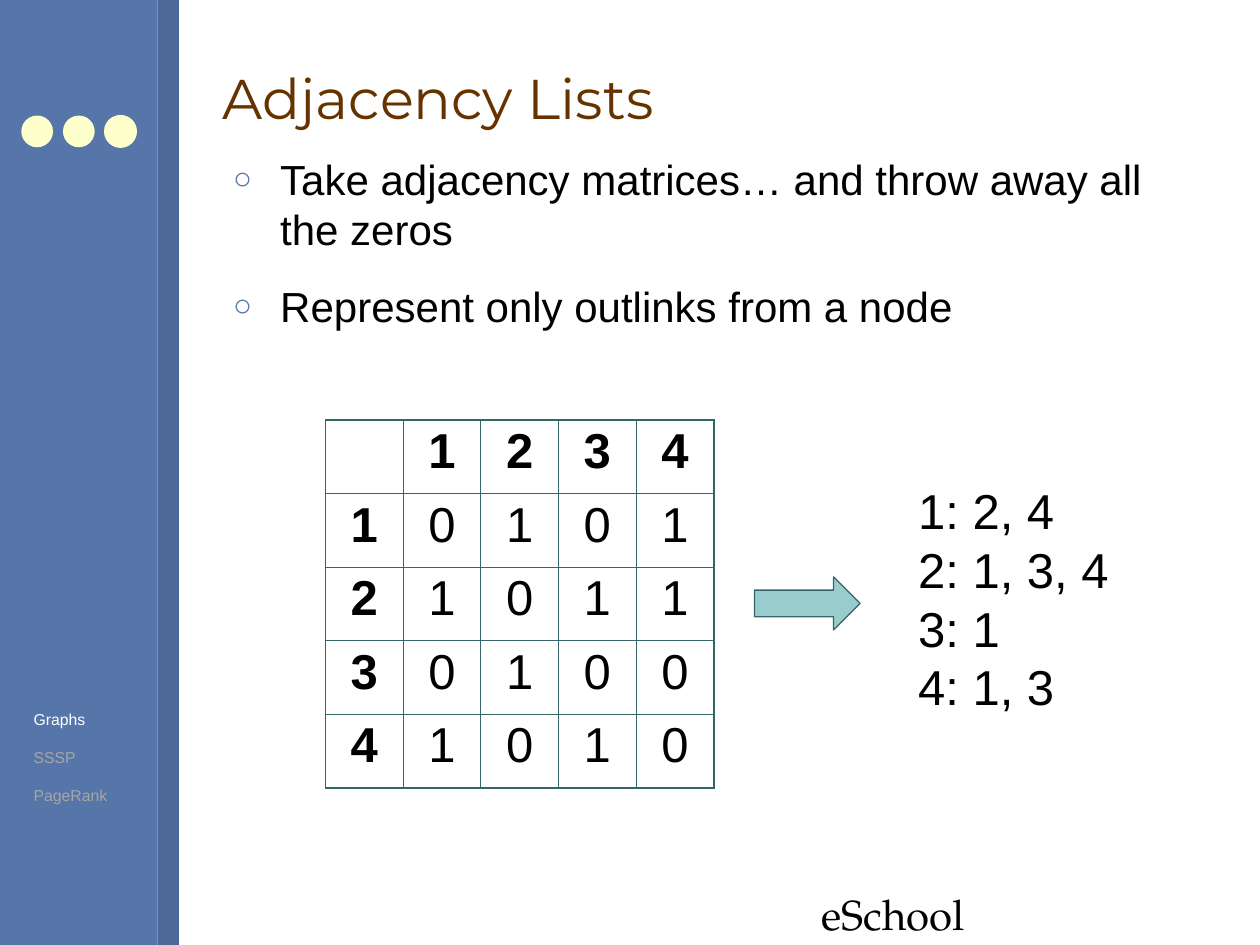
from typing import NamedTuple

import pptx
import pptx.dml.color
import pptx.enum.shapes
import pptx.enum.text
import pptx.oxml
import pptx.oxml.ns
import pptx.util

Cm = pptx.util.Cm
Pt = pptx.util.Pt
RGBColor = pptx.dml.color.RGBColor
Shape = pptx.enum.shapes.MSO_SHAPE
Anchor = pptx.enum.text.MSO_ANCHOR
Align = pptx.enum.text.PP_ALIGN

BLUE = RGBColor(0x56, 0x75, 0xA9)
DARK_BLUE = RGBColor(0x4D, 0x69, 0x97)
CREAM = RGBColor(0xFF, 0xFF, 0xCC)
BROWN = RGBColor(0x66, 0x33, 0x00)
TEAL = RGBColor(0x33, 0x66, 0x66)
LIGHT_TEAL = RGBColor(0x99, 0xCC, 0xCC)
GREY = RGBColor(0xA6, 0xA6, 0xA6)
BLACK = RGBColor(0, 0, 0)
WHITE = RGBColor(0xFF, 0xFF, 0xFF)

OUTER_BORDER, INNER_BORDER = 1.08, 0.45


class Box(NamedTuple):
    """Left, top, width and height in centimetres."""
    left: float
    top: float
    width: float
    height: float

    def lengths(self) -> list[Cm]:
        return [Cm(value) for value in self]


class Panel(NamedTuple):
    kind: Shape
    box: Box
    fill: RGBColor
    line: RGBColor | None = None


def draw_panel(slide, panel: Panel) -> None:
    shape = slide.shapes.add_shape(panel.kind, *panel.box.lengths())
    shape.shadow.inherit = False
    shape.fill.solid()
    shape.fill.fore_color.rgb = panel.fill
    if panel.line is None:
        shape.line.fill.background()
    else:
        shape.line.color.rgb = panel.line
        shape.line.width = Pt(0.75)


def write(frame, lines: list[str], *, size: float, font: str = "Arial",
          colors: tuple[RGBColor, ...] = (BLACK,), bold: bool = False,
          align: Align = Align.LEFT, before: float = 0, after: float = 0,
          spacing: float | None = None, bullet: str | None = None) -> None:
    """Fill a text frame; the last colour serves all remaining lines."""
    for index, line in enumerate(lines):
        paragraph = frame.add_paragraph() if index else frame.paragraphs[0]
        paragraph.alignment = align
        paragraph.space_before = Pt(before)
        paragraph.space_after = Pt(after)
        if spacing:
            paragraph.line_spacing = spacing
        if bullet:
            add_bullet(paragraph, bullet)
        run = paragraph.add_run()
        run.text = line
        run.font.size = Pt(size)
        run.font.name = font
        run.font.bold = bold
        run.font.color.rgb = colors[min(index, len(colors) - 1)]


def add_bullet(paragraph, character: str) -> None:
    properties = paragraph._p.get_or_add_pPr()
    indent = Cm(0.95)
    properties.set("marL", str(indent))
    properties.set("indent", str(-indent))
    namespace = pptx.oxml.ns.nsdecls("a")
    for xml in (
        f'<a:buClr {namespace}><a:srgbClr val="{BLUE}"/></a:buClr>',
        f'<a:buSzPct {namespace} val="75000"/>',
        f'<a:buFont {namespace} typeface="Arial"/>',
        f'<a:buChar {namespace} char="{character}"/>',
    ):
        properties.append(pptx.oxml.parse_xml(xml))


def add_text(slide, box: Box, lines: list[str], *, anchor: Anchor = Anchor.TOP,
             **text_format) -> None:
    frame = slide.shapes.add_textbox(*box.lengths()).text_frame
    frame.word_wrap = True
    frame.vertical_anchor = anchor
    write(frame, lines, **text_format)


def set_border(cell, side: str, width: float) -> None:
    cell._tc.get_or_add_tcPr().append(pptx.oxml.parse_xml(
        f'<a:{side} {pptx.oxml.ns.nsdecls("a")} w="{Pt(width)}">'
        f'<a:solidFill><a:srgbClr val="{TEAL}"/></a:solidFill></a:{side}>'))


def draw_matrix(slide, box: Box, matrix: list[str]) -> None:
    """Draw an adjacency matrix with bold node numbers on its top and left."""
    nodes = "".join(str(node) for node in range(1, len(matrix) + 1))
    rows = [" " + nodes] + [node + values for node, values in zip(nodes, matrix)]
    last = len(rows) - 1
    table = slide.shapes.add_table(len(rows), len(rows), *box.lengths()).table
    table.first_row = table.horz_banding = False
    for index in range(len(rows)):
        table.columns[index].width = Cm(box.width / len(rows))
        table.rows[index].height = Cm(box.height / len(rows))
    for r, values in enumerate(rows):
        for c, value in enumerate(values):
            cell = table.cell(r, c)
            cell.vertical_anchor = Anchor.MIDDLE
            edges = {"lnL": c == 0, "lnR": c == last, "lnT": r == 0, "lnB": r == last}
            for side, outer in edges.items():
                set_border(cell, side, OUTER_BORDER if outer else INNER_BORDER)
            cell.fill.background()
            if value.strip():
                write(cell.text_frame, [value], size=28, bold=r == 0 or c == 0,
                      align=Align.CENTER, before=8, spacing=0.71)


def main() -> None:
    presentation = pptx.Presentation()
    presentation.slide_width, presentation.slide_height = Cm(25.4), Cm(19.05)
    slide = presentation.slides.add_slide(presentation.slide_layouts[6])

    sidebar = [
        Panel(Shape.RECTANGLE, Box(0, 0, 3.18, 19.05), BLUE),
        Panel(Shape.RECTANGLE, Box(3.18, 0, 0.43, 19.05), DARK_BLUE),
    ]
    dots = [Panel(Shape.OVAL, Box(0.43 + 0.84 * index, 2.33, 0.64, 0.64), CREAM, line)
            for index, line in enumerate((None, None, CREAM))]
    for panel in sidebar + dots:
        draw_panel(slide, panel)

    add_text(slide, Box(16.31, 17.78, 4, 1.27), ["eSchool"],
             size=24, font="TeX Gyre Pagella")
    add_text(slide, Box(4.24, 0.53, 20.32, 2.87), ["Adjacency Lists"],
             size=32, font="Montserrat", colors=(BROWN,), anchor=Anchor.MIDDLE)
    add_text(slide, Box(4.45, 2.97, 20.12, 14.6),
             ["Take adjacency matrices… and throw away all the zeros",
              "Represent only outlinks from a node"],
             size=24, before=7.5, after=7.5, bullet="○")

    draw_matrix(slide, Box(6.56, 8.47, 7.83, 7.41), ["0101", "1011", "0100", "1010"])
    add_text(slide, Box(18.26, 9.56, 4.8, 5),
             ["1: 2, 4", "2: 1, 3, 4", "3: 1", "4: 1, 3"], size=28)
    draw_panel(slide, Panel(Shape.RIGHT_ARROW, Box(15.21, 11.63, 2.13, 1.07),
                            LIGHT_TEAL, TEAL))

    add_text(slide, Box(0.43, 14.18, 2.6, 2.16), ["Graphs", "SSSP", "PageRank"],
             size=9, colors=(WHITE, GREY), after=11)

    presentation.save("out.pptx")


if __name__ == "__main__":
    main()
